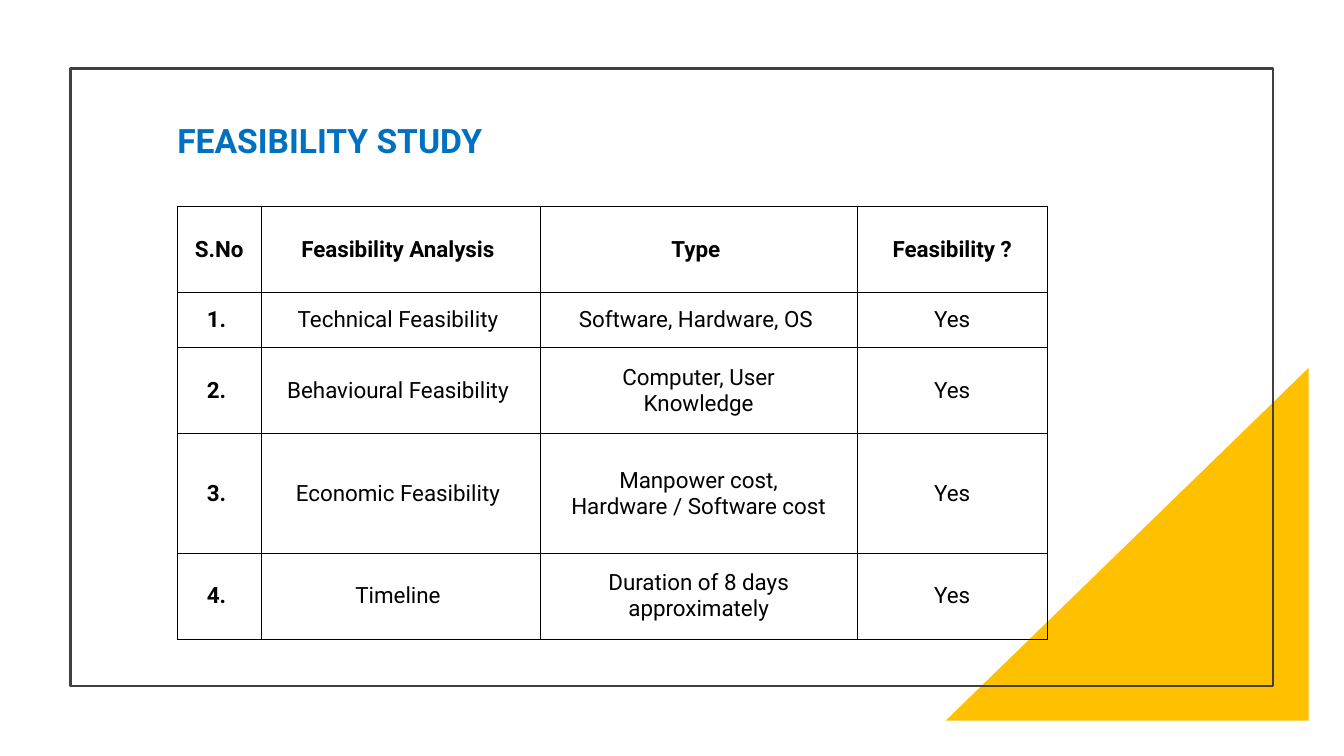
from lxml import etree
from pptx import Presentation
from pptx.dml.color import RGBColor
from pptx.enum import shapes, text
from pptx.oxml import ns
from pptx.util import Inches, Pt

FONT = "Roboto"
COLORS = {
    "accent": "FFC000",
    "frame": "404040",
    "title": "0070C0",
    "ink": "000000",
}
COLUMN_WIDTHS = [0.83, 2.77, 3.14, 1.89]
ROW_HEIGHTS = [0.85, 0.55, 0.85, 1.19, 0.85]
# Trailing spaces in the cells take part in the centring
ROWS = [
    ["S.No", "Feasibility Analysis ", "Type ", "Feasibility ?"],
    ["1. ", "Technical Feasibility ", "Software, Hardware, OS ", "Yes"],
    ["2. ", "Behavioural Feasibility ", "Computer, User\nKnowledge", "Yes"],
    ["3. ", "Economic Feasibility ",
     "Manpower cost,\nHardware / Software cost", "Yes"],
    ["4. ", "Timeline ", "Duration of 8 days\napproximately", "Yes"],
]


def color(name):
    return RGBColor.from_string(COLORS[name])


def write(para, words, size, ink, bold):
    para.text = words
    for span in para.runs:
        span.font.name = FONT
        span.font.size = Pt(size)
        span.font.bold = bold
        span.font.color.rgb = color(ink)


def add_shape(page, kind, left, top, width, height, fill=None, line=None):
    shape = page.shapes.add_shape(
        kind, Inches(left), Inches(top), Inches(width), Inches(height))
    shape.shadow.inherit = False
    if fill:
        shape.fill.solid()
        shape.fill.fore_color.rgb = color(fill)
    else:
        shape.fill.background()
    if line:
        shape.line.color.rgb = color(line)
        shape.line.width = Pt(1.5)
    else:
        shape.line.fill.background()
    return shape


def flip_horizontally(shape):
    shape._element.spPr.find(ns.qn("a:xfrm")).set("flipH", "1")


def add_title(page, words):
    box = page.shapes.add_textbox(
        Inches(1.66), Inches(1.14), Inches(3.49), Inches(0.91))
    box.text_frame.word_wrap = True
    write(box.text_frame.paragraphs[0], words, 24, "title", True)


def set_borders(cell):
    properties = cell._tc.get_or_add_tcPr()
    for side in ("lnL", "lnR", "lnT", "lnB"):
        line = etree.SubElement(
            properties, ns.qn(f"a:{side}"), w=str(Pt(0.5)))
        fill = etree.SubElement(line, ns.qn("a:solidFill"))
        etree.SubElement(fill, ns.qn("a:srgbClr"), val=COLORS["ink"])


def add_feasibility_table(page):
    table = page.shapes.add_table(
        len(ROWS), len(COLUMN_WIDTHS), Inches(1.76), Inches(2.05),
        Inches(sum(COLUMN_WIDTHS)), Inches(sum(ROW_HEIGHTS))).table
    table.first_row = False
    table.horz_banding = False
    for column, width in zip(table.columns, COLUMN_WIDTHS):
        column.width = Inches(width)
    for row, height in zip(table.rows, ROW_HEIGHTS):
        row.height = Inches(height)

    for r, values in enumerate(ROWS):
        for c, words in enumerate(values):
            cell = table.cell(r, c)
            set_borders(cell)
            cell.fill.background()
            cell.vertical_anchor = text.MSO_ANCHOR.MIDDLE
            para = cell.text_frame.paragraphs[0]
            para.alignment = text.PP_ALIGN.CENTER
            write(para, words, 16, "ink", r == 0 or c == 0)


def main():
    deck = Presentation()
    deck.slide_width = Inches(13.33)
    deck.slide_height = Inches(7.5)
    page = deck.slides.add_slide(deck.slide_layouts[6])

    # Corner triangle and frame
    corner = add_shape(page, shapes.MSO_SHAPE.RIGHT_TRIANGLE,
                       9.38, 3.65, 3.6, 3.5, fill="accent")
    flip_horizontally(corner)
    add_shape(page, shapes.MSO_SHAPE.RECTANGLE,
              0.7, 0.68, 11.93, 6.13, line="frame")

    # Content
    add_title(page, "FEASIBILITY STUDY")
    add_feasibility_table(page)

    deck.save("out.pptx")


if __name__ == "__main__":
    main()
